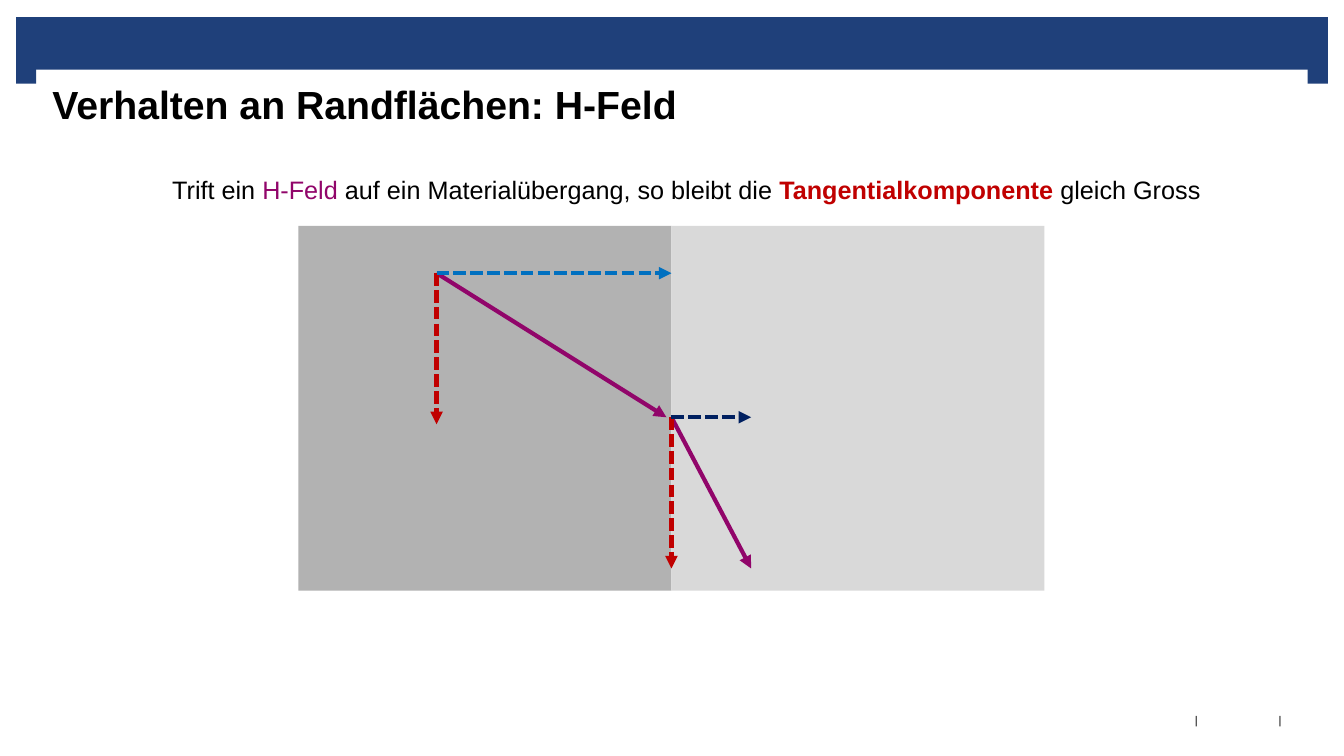
from lxml.etree import SubElement
from pptx import Presentation
from pptx.dml.color import RGBColor
from pptx.enum.dml import MSO_LINE
from pptx.enum.shapes import MSO_CONNECTOR, MSO_SHAPE
from pptx.enum.text import MSO_ANCHOR, PP_ALIGN
from pptx.oxml.ns import qn
from pptx.util import Inches, Pt

BLUE, BLACK, PURPLE, RED = "1F407A", "000000", "91056A", "C00000"
FIELD_START = (4.33, 2.71)
BOUNDARY_X = 6.66
BOUNDARY_POINT = (BOUNDARY_X, 4.14)
TANGENTIAL = 1.5
REFRACTED_NORMAL = 0.79


def color(value):
    """Turn a hex string into a colour."""
    return RGBColor.from_string(value)


def apply_format(target, values):
    """Set every attribute named in a dict of format values."""
    for name, value in values.items():
        setattr(target, name, value)


def add_rectangle(slide, left, top, width, height, fill):
    """Add a plain filled rectangle."""
    box = [Inches(length) for length in (left, top, width, height)]
    shape = slide.shapes.add_shape(MSO_SHAPE.RECTANGLE, *box)
    shape.shadow.inherit = False
    shape.fill.solid()
    shape.fill.fore_color.rgb = color(fill)
    shape.line.fill.background()


def add_text(slide, box, runs, size, frame_format, alignment=PP_ALIGN.LEFT):
    """Add a one-paragraph text box of (text, colour, bold) runs."""
    shape = slide.shapes.add_textbox(*[Inches(length) for length in box])
    apply_format(shape.text_frame, frame_format)
    paragraph = shape.text_frame.paragraphs[0]
    paragraph.alignment = alignment
    for text, text_color, bold in runs:
        run = paragraph.add_run()
        run.text = text
        apply_format(run.font, {"name": "Arial", "size": Pt(size), "bold": bold})
        run.font.color.rgb = color(text_color)


def add_vector(slide, start, horizontal, vertical, line_color, dashed=True):
    """Add an arrow from a start point with the given components."""
    end = (start[0] + horizontal, start[1] + vertical)
    points = [Inches(length) for length in (*start, *end)]
    connector = slide.shapes.add_connector(MSO_CONNECTOR.STRAIGHT, *points)
    connector.line.color.rgb = color(line_color)
    connector.line.width = Pt(3)
    if dashed:
        connector.line.dash_style = MSO_LINE.SQUARE_DOT
    properties = connector._element.spPr
    SubElement(properties.find(qn("a:ln")), qn("a:tailEnd"), type="triangle")
    SubElement(properties, qn("a:effectLst"))


def add_frame(slide):
    """Add the header band and the footer separators."""
    add_rectangle(slide, 0.16, 0.17, 13.01, 0.52, BLUE)
    for left in (0.16, 12.97):
        add_rectangle(slide, left, 0.65, 0.2, 0.18, BLUE)
    separator_format = {
        "word_wrap": False,
        "vertical_anchor": MSO_ANCHOR.MIDDLE,
        "margin_left": Inches(0.04),
        "margin_right": Inches(0.04),
    }
    for left in (12.62, 11.79):
        add_text(slide, (left, 6.89, 0.15, 0.51), [("|", BLACK, False)], 8,
                 separator_format, PP_ALIGN.CENTER)


def add_headings(slide):
    """Add the title and the statement about the field."""
    title_format = {
        "word_wrap": True,
        "margin_left": Inches(0.16),
        "margin_right": Inches(0.16),
        "margin_top": Inches(0.12),
        "margin_bottom": Inches(0),
    }
    add_text(slide, (0.36, 0.68, 12.62, 1.11),
             [("Verhalten an Randflächen: H-Feld", BLACK, True)], 28, title_format)
    statement = [
        ("Trift ein ", BLACK, False),
        ("H-Feld", PURPLE, False),
        (" auf ein Materialübergang, so bleibt die ", BLACK, False),
        ("Tangentialkomponente", RED, True),
        (" gleich Gross", BLACK, False),
    ]
    add_text(slide, (1.61, 1.68, 10.5, 0.4), statement, 18, {"word_wrap": False})


def add_field_diagram(slide):
    """Add both materials and the field vectors with their components."""
    for left, fill in ((2.96, "B2B2B2"), (BOUNDARY_X, "D9D9D9")):
        add_rectangle(slide, left, 2.24, 3.7, 3.62, fill)
    add_vector(slide, FIELD_START, 2.28, 1.43, PURPLE, dashed=False)
    add_vector(slide, BOUNDARY_POINT, REFRACTED_NORMAL, TANGENTIAL, PURPLE, dashed=False)
    for start in (FIELD_START, BOUNDARY_POINT):
        add_vector(slide, start, 0, TANGENTIAL, RED)
    add_vector(slide, FIELD_START, BOUNDARY_X - FIELD_START[0], 0, "0070C0")
    add_vector(slide, BOUNDARY_POINT, REFRACTED_NORMAL, 0, "002060")


def main():
    """Build the slide and save it."""
    presentation = Presentation()
    apply_format(presentation, {"slide_width": Inches(13.33), "slide_height": Inches(7.5)})
    slide = presentation.slides.add_slide(presentation.slide_layouts[6])
    add_frame(slide)
    add_headings(slide)
    add_field_diagram(slide)
    presentation.save("out.pptx")


if __name__ == "__main__":
    main()
